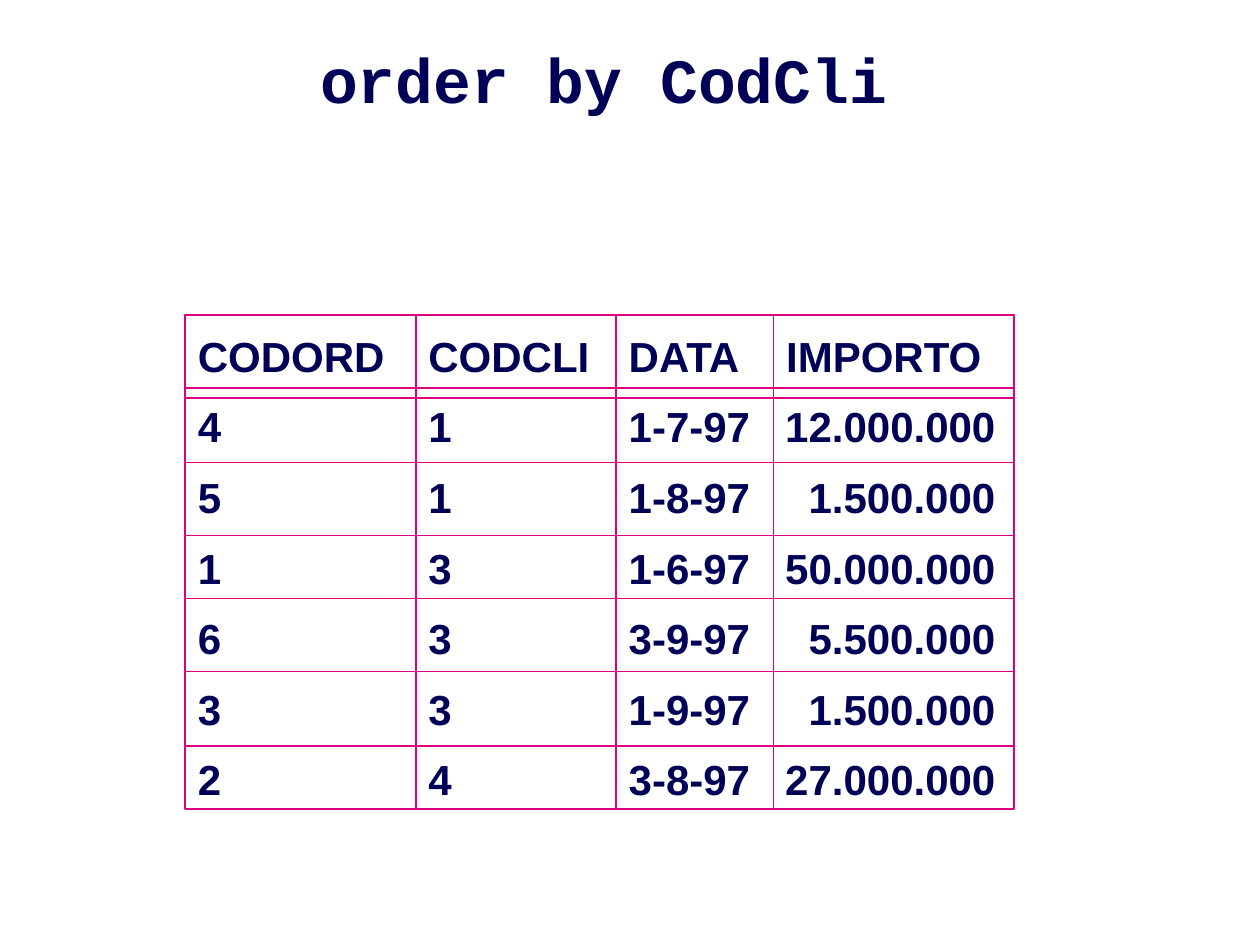
"""Build a slide showing the orders sorted by customer code."""
from itertools import pairwise

from lxml.etree import SubElement
from pptx import Presentation
from pptx.dml.color import RGBColor
from pptx.enum.shapes import MSO_CONNECTOR as Connector, MSO_SHAPE as Shape
from pptx.enum.text import MSO_ANCHOR as Anchor, PP_ALIGN as Align
from pptx.oxml.ns import qn
from pptx.util import Inches, Pt

NAVY = RGBColor(0x00, 0x00, 0x57)
MAGENTA = RGBColor(0xDC, 0x00, 0x81)
NO_STYLE_NO_GRID = "{2D5ABB26-0587-4C30-8999-92F81FD0307C}"

COLUMN_EDGES = [1.47, 3.3, 4.89, 6.14, 8.05]
RULES = [3.08, 3.16, 3.67, 4.25, 4.75, 5.33, 5.92]
FRAME_TOP, FRAME_BOTTOM = 2.5, 6.42
TABLE_TOP, ROW_HEIGHT = 2.56, 0.56
ORDERS = [
    ["CODORD", "CODCLI", "DATA", "IMPORTO"],
    ["4", "1", "1-7-97", "12.000.000"],
    ["5", "1", "1-8-97", "1.500.000"],
    ["1", "3", "1-6-97", "50.000.000"],
    ["6", "3", "3-9-97", "5.500.000"],
    ["3", "3", "1-9-97", "1.500.000"],
    ["2", "4", "3-8-97", "27.000.000"],
]


class SlideBuilder:
    def __init__(self, slide):
        self.shapes = slide.shapes

    def run(self, p, text, size, font):
        r = p.add_run()
        r.text = text
        r.font.name, r.font.size, r.font.bold = font, Pt(size), True
        r.font.color.rgb = NAVY

    def stroke(self, line):
        line.color.rgb = MAGENTA
        line.width = Pt(1)

    def title(self, text, x, y, w, h):
        box = self.shapes.add_textbox(Inches(x), Inches(y), Inches(w), Inches(h))
        tf = box.text_frame
        tf.word_wrap = True
        tf.vertical_anchor = Anchor.MIDDLE
        p = tf.paragraphs[0]
        p.alignment = Align.CENTER
        self.run(p, text, 36, "Courier New")

    def line(self, x1, y1, x2, y2):
        sp = self.shapes.add_connector(
            Connector.STRAIGHT, Inches(x1), Inches(y1), Inches(x2), Inches(y2))
        self.stroke(sp.line)
        SubElement(sp._element.spPr, qn("a:effectLst"))

    def frame(self, x1, y1, x2, y2):
        sp = self.shapes.add_shape(
            Shape.RECTANGLE, Inches(x1), Inches(y1), Inches(x2 - x1), Inches(y2 - y1))
        sp.shadow.inherit = False
        sp.fill.background()
        self.stroke(sp.line)

    def cell(self, cell, text, is_amount):
        cell.fill.background()
        cell.vertical_anchor = Anchor.MIDDLE
        cell.margin_top = cell.margin_bottom = 0
        cell.margin_left = Inches(0.05 if is_amount else 0.1)
        cell.margin_right = Inches(0.15 if is_amount else 0.05)
        p = cell.text_frame.paragraphs[0]
        p.alignment = Align.RIGHT if is_amount else Align.LEFT
        self.run(p, text, 24, "Arial")

    def table(self, xs, top, row_height, rows):
        columns = len(xs) - 1
        table = self.shapes.add_table(
            len(rows), columns, Inches(xs[0]), Inches(top),
            Inches(xs[-1] - xs[0]), Inches(row_height * len(rows))).table
        table.first_row = table.horz_banding = False
        table._tbl.tblPr.find(qn("a:tableStyleId")).text = NO_STYLE_NO_GRID
        for column, (left, right) in zip(table.columns, pairwise(xs)):
            column.width = Inches(right - left)
        for i, values in enumerate(rows):
            table.rows[i].height = Inches(row_height)
            for j, text in enumerate(values):
                self.cell(table.cell(i, j), text, i > 0 and j == columns - 1)


def main():
    prs = Presentation()
    prs.slide_width, prs.slide_height = Inches(10), Inches(7.5)
    builder = SlideBuilder(prs.slides.add_slide(prs.slide_layouts[6]))
    builder.title("order by CodCli", 0, 0, 9.58, 1.25)
    left, *dividers, right = COLUMN_EDGES
    builder.frame(left, FRAME_TOP, right, FRAME_BOTTOM)
    builder.table(COLUMN_EDGES, TABLE_TOP, ROW_HEIGHT, ORDERS)
    for y in RULES:
        builder.line(left, y, right, y)
    for x in dividers:
        builder.line(x, FRAME_TOP, x, FRAME_BOTTOM)
    prs.save("out.pptx")


if __name__ == "__main__":
    main()
